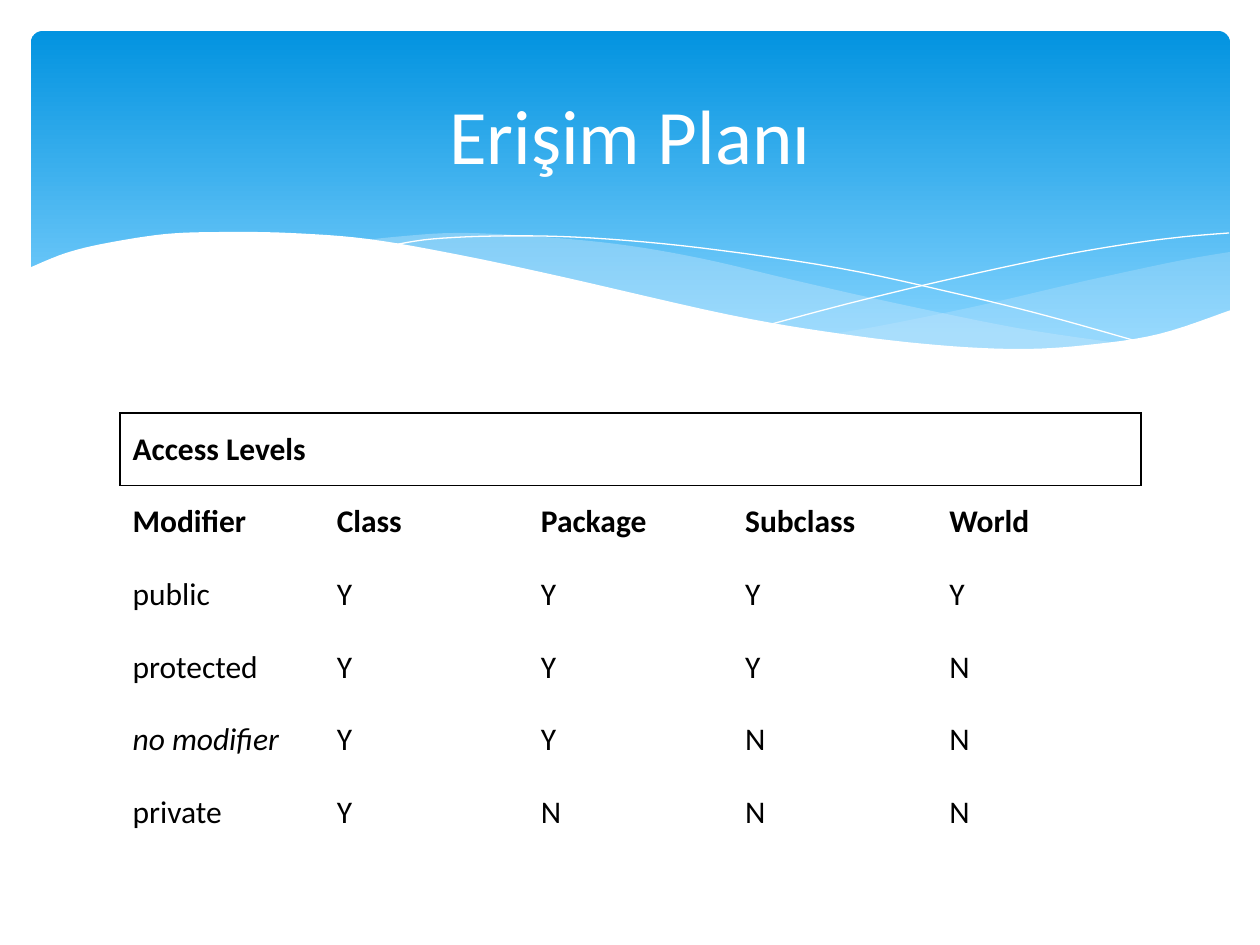
from dataclasses import dataclass

import lxml.etree
import pptx
import pptx.dml.color
import pptx.enum.shapes
import pptx.enum.text
import pptx.oxml.ns
import pptx.util

PX = 914400 / 126  # EMU in one px
COLORS = {
    "white": "FFFFFF", "black": "000000", "wave": "C6E7FC",
    "sky_top": "0293E0", "sky_bottom": "83D3FE",
}
FONT = "Calibri"
PLAIN_TABLE = "{2D5ABB26-0587-4C30-8999-92F81FD0307C}"
qn = pptx.oxml.ns.qn
Points = list[tuple[int, int]]


@dataclass
class Wave:
    """Filled band, or a hairline if it has no fill; curve knots in px."""
    curves: list[Points]
    corners: Points
    fill: str | None = None
    alpha: int = 100


WAVES = [
    # Right band
    Wave([[(1230, 252), (1178, 261), (1085, 281), (982, 305), (890, 324), (833, 334)],
          [(833, 334), (888, 341), (954, 348), (1012, 350), (1076, 348), (1130, 340),
           (1178, 330), (1230, 311)]], [], "wave", 29),
    # Middle band
    Wave([[(1125, 344), (1017, 328), (890, 302), (793, 280), (699, 258), (616, 244),
           (529, 236), (455, 233), (394, 237), (360, 241)],
          [(360, 241), (431, 251), (509, 266), (566, 280), (668, 302), (757, 321),
           (857, 338), (942, 348), (1017, 350), (1080, 349), (1125, 344)]], [], "wave", 40),
    # Hairlines
    Wave([[(389, 246), (433, 239), (505, 236), (591, 238), (701, 248), (838, 268),
           (958, 294), (1047, 316), (1143, 343)]], []),
    Wave([[(772, 324), (847, 304), (942, 281), (1053, 257), (1128, 244), (1182, 237),
           (1229, 233)]], []),
    # White lower edge of the banner
    Wave([[(1231, 310), (1159, 334), (1087, 345), (1019, 349), (937, 345), (842, 334),
           (730, 315), (563, 277), (460, 255), (368, 239), (290, 233), (223, 232),
           (166, 234), (107, 243), (66, 253), (29, 268)]],
         [(29, 415), (1231, 415)], "white"),
]

HEADING = "Access Levels"
ROWS = [
    ["Modifier", "Class", "Package", "Subclass", "World"],
    ["public", "Y", "Y", "Y", "Y"],
    ["protected", "Y", "Y", "Y", "N"],
    ["no modifier", "Y", "Y", "N", "N"],
    ["private", "Y", "N", "N", "N"],
]


def px(n: float) -> int:
    return pptx.util.Emu(round(n * PX))


def rgb(name: str) -> pptx.dml.color.RGBColor:
    return pptx.dml.color.RGBColor.from_string(COLORS[name])


def smooth(knots: Points, steps: int = 6) -> list[tuple[float, float]]:
    """Points of a Catmull-Rom curve through the knots."""
    ends = [knots[0], *knots, knots[-1]]
    points = []
    for a, b, c, d in zip(ends, ends[1:], ends[2:], ends[3:]):
        for t in (i / steps for i in range(steps)):
            points.append(tuple(
                0.5 * (2 * q + (r - p) * t + (2 * p - 5 * q + 4 * r - s) * t ** 2
                       + (3 * q - p - 3 * r + s) * t ** 3)
                for p, q, r, s in zip(a, b, c, d)))
    return points + [knots[-1]]


def draw_wave(s, wave: Wave) -> None:
    points = [pt for curve in wave.curves for pt in smooth(curve)] + wave.corners
    emu = [(px(x), px(y)) for x, y in points]
    builder = s.shapes.build_freeform(*emu[0], scale=1.0)
    builder.add_line_segments(emu[1:], close=wave.fill is not None)
    sp = builder.convert_to_shape()
    sp.shadow.inherit = False
    if wave.fill is None:
        sp.fill.background()
        sp.line.color.rgb = rgb("white")
        sp.line.width = 0
        return
    sp.fill.solid()
    sp.fill.fore_color.rgb = rgb(wave.fill)
    sp.line.fill.background()
    if wave.alpha < 100:
        color = sp.fill._xPr.find(".//" + qn("a:srgbClr"))
        lxml.etree.SubElement(color, qn("a:alpha"), val=str(wave.alpha * 1000))


def write(tf, text: str, size: int, color: str, **formats) -> None:
    r = tf.paragraphs[0].add_run()
    r.text = text
    values = {"name": FONT, "size": pptx.util.Pt(size), **formats}
    for key, value in values.items():
        setattr(r.font, key, value)
    r.font.color.rgb = rgb(color)


def border(cell, sides: str) -> None:
    tc_pr = cell._tc.get_or_add_tcPr()
    for i, side in enumerate(x for x in "LRTB" if x in sides):
        ln = lxml.etree.Element(qn("a:ln" + side), w="12700")
        fill = lxml.etree.SubElement(ln, qn("a:solidFill"))
        lxml.etree.SubElement(fill, qn("a:srgbClr"), val=COLORS["black"])
        tc_pr.insert(i, ln)


def draw_banner(s) -> None:
    sp = s.shapes.add_shape(pptx.enum.shapes.MSO_SHAPE.ROUNDED_RECTANGLE,
                            px(31), px(31), px(1199), px(340))
    sp.adjustments[0] = 0.034
    sp.shadow.inherit = False
    sp.line.fill.background()
    sp.fill.gradient()
    sp.fill.gradient_angle = 270
    stops = [(0, "sky_top"), (0.9, "sky_bottom")]
    for stop, (position, color) in zip(sp.fill.gradient_stops, stops):
        stop.position = position
        stop.color.rgb = rgb(color)
    for wave in WAVES:
        draw_wave(s, wave)


def draw_title(s, text: str) -> None:
    tf = s.shapes.add_textbox(px(63), px(47), px(1134), px(173)).text_frame
    tf.word_wrap = True
    tf.vertical_anchor = pptx.enum.text.MSO_ANCHOR.MIDDLE
    tf.paragraphs[0].alignment = pptx.enum.text.PP_ALIGN.CENTER
    write(tf, text, 44, "white")


def draw_table(s) -> None:
    columns = len(ROWS[0])
    table = s.shapes.add_table(len(ROWS) + 1, columns,
                               px(120), px(413), px(1021), px(436)).table
    table.first_row = table.horz_banding = False
    table._tbl.tblPr.find(qn("a:tableStyleId")).text = PLAIN_TABLE
    table.cell(0, 0).merge(table.cell(0, columns - 1))
    for i, row in enumerate([[HEADING], *ROWS]):
        for j, text in enumerate(row):
            cell = table.cell(i, j)
            cell.vertical_anchor = pptx.enum.text.MSO_ANCHOR.MIDDLE
            cell.fill.background()
            write(cell.text_frame, text, 18, "black",
                  bold=i < 2, italic=text == "no modifier")
    # Frame of the heading row
    for j in range(columns):
        border(table.cell(0, j), {0: "LRTB", columns - 1: "RT"}.get(j, "T"))


def main() -> None:
    prs = pptx.Presentation()
    prs.slide_width, prs.slide_height = px(1260), px(945)
    s = prs.slides.add_slide(prs.slide_layouts[6])
    draw_banner(s)
    draw_title(s, "Erişim Planı")
    draw_table(s)
    prs.save("out.pptx")


if __name__ == "__main__":
    main()
